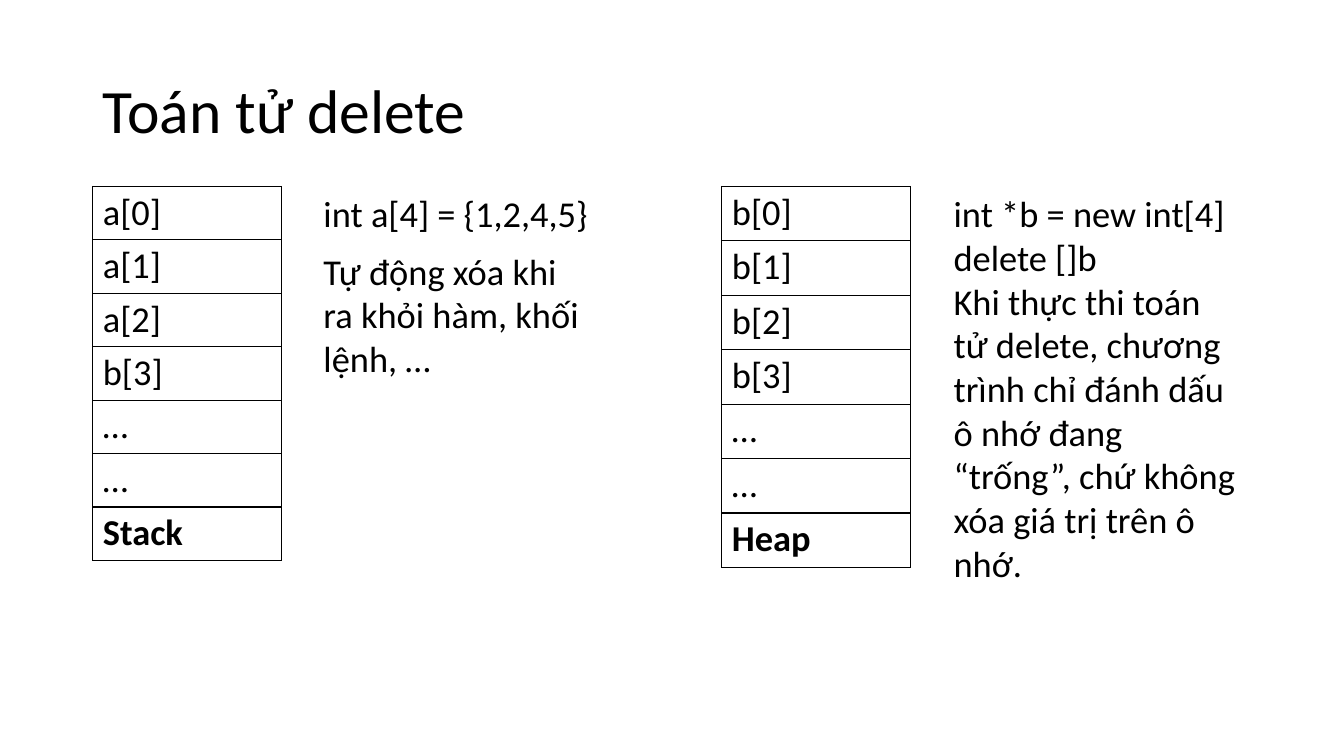
from lxml import etree
from pptx import Presentation
from pptx.dml.color import RGBColor
from pptx.enum.text import MSO_ANCHOR
from pptx.oxml.ns import qn
from pptx.util import Inches, Pt

MIDDLE = MSO_ANCHOR.MIDDLE
TOP = MSO_ANCHOR.TOP
FONT = "Calibri"
BLACK = "000000"
WHITE = "FFFFFF"
BODY_SIZE = 26
MEMORY_TOP = 1.85


def rgb(value):
    return RGBColor.from_string(value)


def add_run(p, text, size=BODY_SIZE, bold=False):
    r = p.add_run()
    r.text = text
    r.font.name = FONT
    r.font.size = Pt(size)
    r.font.bold = bold
    r.font.color.rgb = rgb(BLACK)


def add_text(s, box, lines, size=BODY_SIZE, anchor=TOP, spacing=1.0):
    sp = s.shapes.add_textbox(*[Inches(v) for v in box])
    tf = sp.text_frame
    tf.word_wrap = True
    tf.vertical_anchor = anchor
    for i, line in enumerate(lines):
        p = tf.add_paragraph() if i else tf.paragraphs[0]
        p.line_spacing = spacing
        add_run(p, line, size)


def add_borders(cell):
    tcPr = cell._tc.get_or_add_tcPr()
    for side in ("a:lnL", "a:lnR", "a:lnT", "a:lnB"):
        ln = etree.SubElement(tcPr, qn(side), w=str(Pt(1)))
        fill = etree.SubElement(ln, qn("a:solidFill"))
        etree.SubElement(fill, qn("a:srgbClr"), val=BLACK)


def add_memory(s, left, row_height, slots, region):
    labels = slots + ["…", "…", region]
    width, height = Inches(1.87), Inches(row_height)
    table = s.shapes.add_table(len(labels), 1, Inches(left), Inches(MEMORY_TOP),
                               width, height * len(labels)).table
    table.first_row = False
    table.horz_banding = False
    for row, label in zip(table.rows, labels):
        row.height = height
        cell = row.cells[0]
        cell.margin_top = cell.margin_bottom = Inches(0.04)
        add_borders(cell)
        cell.fill.solid()
        cell.fill.fore_color.rgb = rgb(WHITE)
        add_run(cell.text_frame.paragraphs[0], label, bold=label == region)


def main():
    prs = Presentation()
    prs.slide_width = Inches(13.33)
    prs.slide_height = Inches(7.5)
    s = prs.slides.add_slide(prs.slide_layouts[6])

    add_text(s, (0.92, 0.4, 11.5, 1.45), ["Toán tử delete"], 44, MIDDLE, 0.9)

    add_memory(s, 7.16, 0.54, ["b[0]", "b[1]", "b[2]", "b[3]"], "Heap")
    add_text(s, (9.36, MEMORY_TOP, 3.06, 4.04), [
        "int *b = new int[4]",
        "delete []b",
        "Khi thực thi toán tử delete, chương trình chỉ đánh dấu ô nhớ đang "
        "“trống”, chứ không xóa giá trị trên ô nhớ.",
    ])

    add_text(s, (3.11, 2.42, 2.87, 1.41),
             ["Tự động xóa khi ra khỏi hàm, khối lệnh, …"])
    add_memory(s, 0.92, 0.53, ["a[0]", "a[1]", "a[2]", "b[3]"], "Stack")
    add_text(s, (3.11, MEMORY_TOP, 3.06, 0.54), ["int a[4] = {1,2,4,5}"])

    prs.save("out.pptx")


if __name__ == "__main__":
    main()
